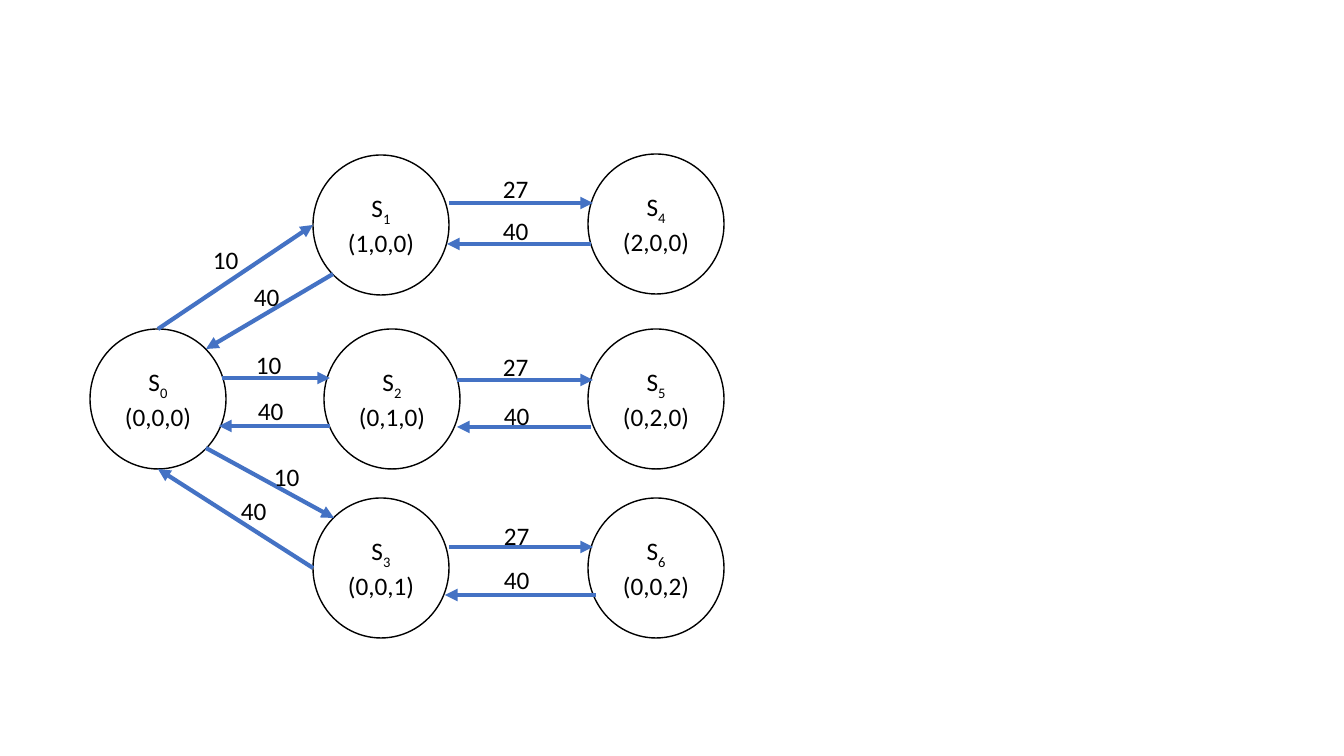
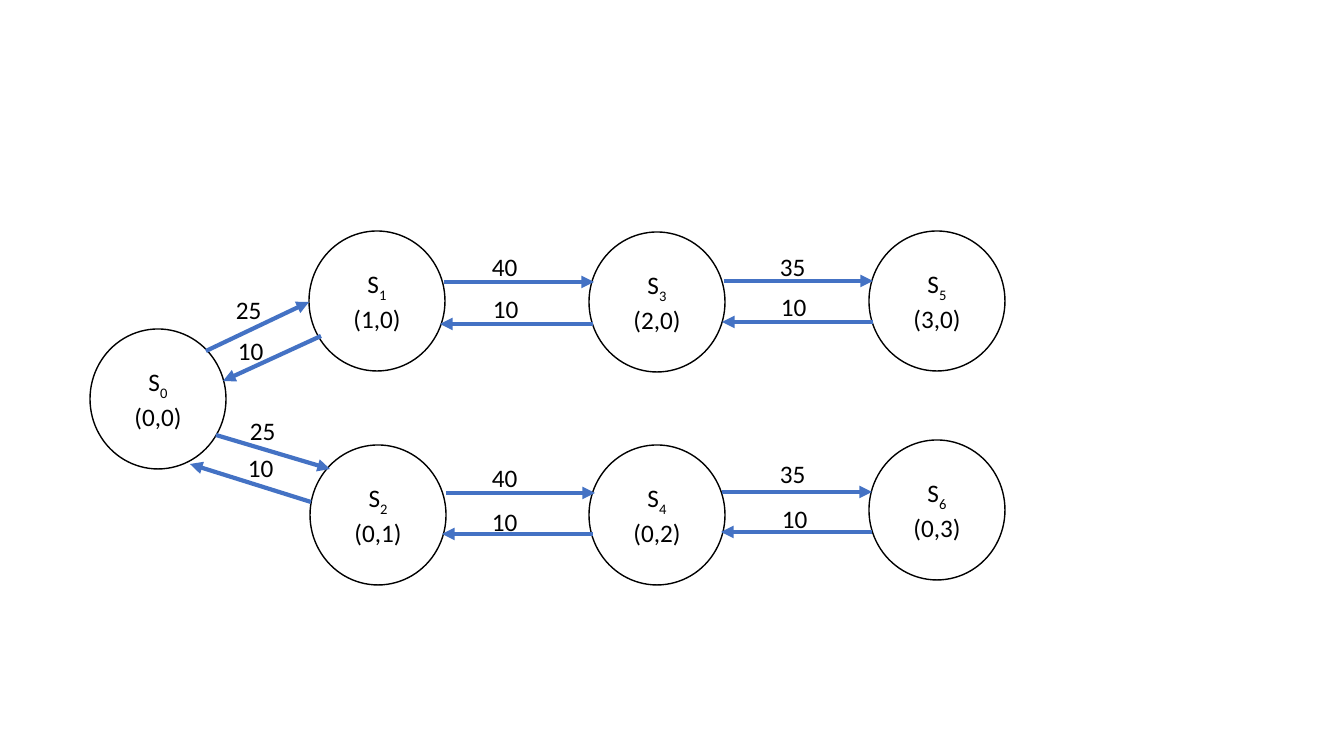
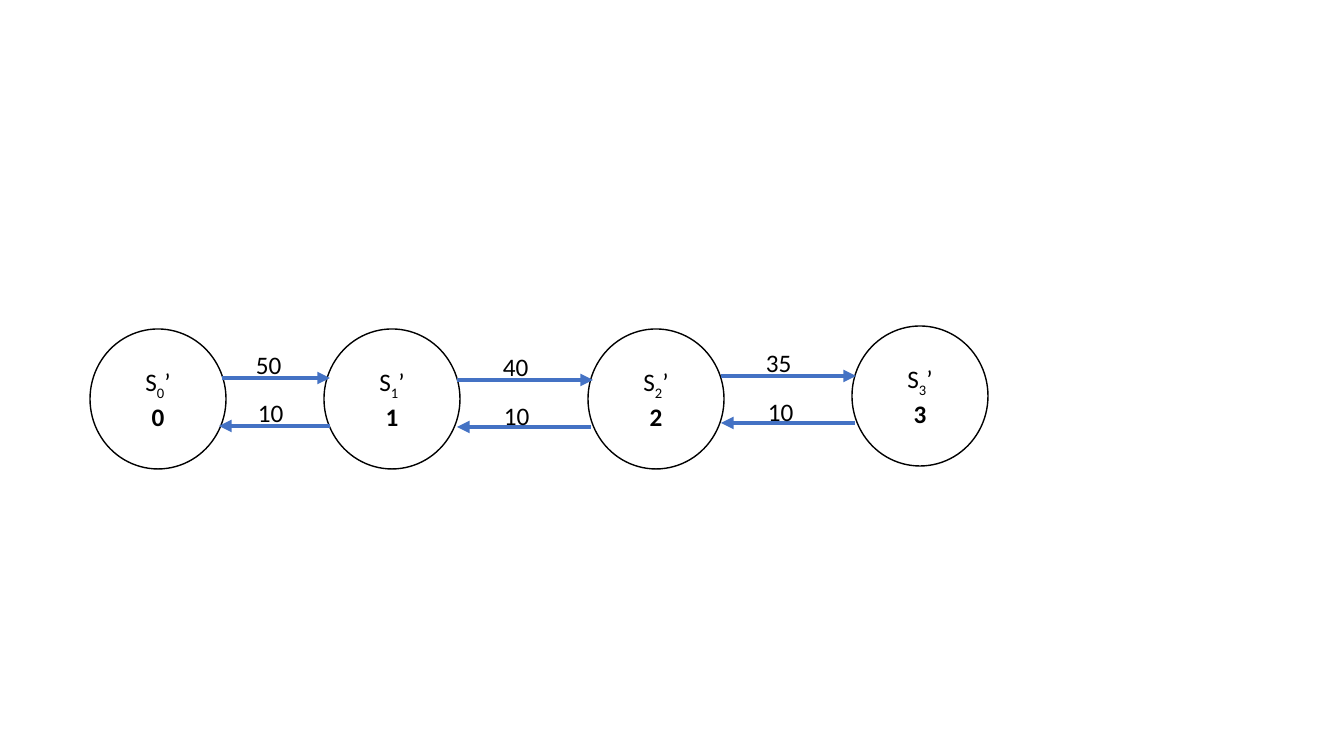
"""Build three state transition diagrams with rates on the arrows."""
from lxml import etree
from pptx import Presentation
from pptx.dml.color import RGBColor
from pptx.enum.shapes import MSO_CONNECTOR, MSO_SHAPE
from pptx.enum.text import MSO_ANCHOR, MSO_AUTO_SIZE, PP_ALIGN
from pptx.oxml.ns import qn
from pptx.util import Emu, Pt

BLACK = RGBColor(0x00, 0x00, 0x00)
WHITE = RGBColor(0xFF, 0xFF, 0xFF)
BLUE = RGBColor(0x44, 0x72, 0xC4)
STRAIGHT = MSO_CONNECTOR.STRAIGHT
ELLIPSE = MSO_SHAPE.OVAL
MIDDLE = MSO_ANCHOR.MIDDLE
GROW = MSO_AUTO_SIZE.SHAPE_TO_FIT_TEXT
CENTER = PP_ALIGN.CENTER

PIXEL = 914400 / 100.8
SLIDE_SIZE = (1344, 756)
STATE_SIZE = (136, 140)
RATE_SIZE = (197, 40)
TEXT_FORMAT = {"name": "Calibri", "size": Pt(18)}
SUBSCRIPT = "-25000"

# States: index, value, (left, top). Arrows: rate, start, end, (label left, top).
DIAGRAMS = [
    {
        "prime": "",
        "bold": False,
        "states": [
            ("0", "(0,0,0)", (90, 329)),
            ("1", "(1,0,0)", (313, 155)),
            ("2", "(0,1,0)", (324, 329)),
            ("3", "(0,0,1)", (313, 498)),
            ("4", "(2,0,0)", (588, 154)),
            ("5", "(0,2,0)", (588, 329)),
            ("6", "(0,0,2)", (588, 498)),
        ],
        "arrows": [
            ("10", (158, 329), (313, 225), (203, 239)),
            ("40", (333, 274), (206, 349), (244, 276)),
            ("27", (449, 203), (593, 203), (493, 168)),
            ("40", (591, 244), (447, 244), (493, 210)),
            ("10", (222, 378), (330, 378), (246, 344)),
            ("40", (330, 426), (219, 426), (248, 390)),
            ("27", (457, 380), (593, 380), (493, 346)),
            ("40", (591, 427), (457, 427), (494, 395)),
            ("10", (206, 448), (334, 518), (264, 456)),
            ("40", (313, 568), (158, 469), (231, 490)),
            ("27", (449, 547), (593, 547), (494, 515)),
            ("40", (596, 595), (445, 595), (494, 559)),
        ],
    },
    {
        "prime": "",
        "bold": False,
        "states": [
            ("0", "(0,0)", (90, 329)),
            ("1", "(1,0)", (309, 231)),
            ("2", "(0,1)", (310, 445)),
            ("3", "(2,0)", (589, 232)),
            ("4", "(0,2)", (589, 445)),
            ("5", "(3,0)", (869, 231)),
            ("6", "(0,3)", (869, 440)),
        ],
        "arrows": [
            ("25", (206, 351), (309, 302), (226, 289)),
            ("10", (321, 336), (223, 381), (228, 330)),
            ("40", (444, 282), (594, 282), (482, 246)),
            ("10", (593, 324), (440, 324), (483, 288)),
            ("35", (724, 281), (873, 281), (770, 246)),
            ("10", (873, 322), (722, 322), (771, 286)),
            ("25", (216, 435), (330, 469), (240, 410)),
            ("10", (311, 502), (190, 464), (238, 447)),
            ("40", (446, 493), (595, 493), (482, 457)),
            ("10", (593, 534), (442, 534), (482, 501)),
            ("35", (722, 492), (872, 492), (770, 453)),
            ("10", (872, 532), (721, 532), (772, 498)),
        ],
    },
    {
        "prime": "’",
        "bold": True,
        "states": [
            ("0", "0", (90, 329)),
            ("1", "1", (324, 329)),
            ("2", "2", (588, 329)),
            ("3", "3", (852, 326)),
        ],
        "arrows": [
            ("50", (222, 378), (330, 378), (246, 344)),
            ("10", (330, 426), (219, 426), (248, 392)),
            ("40", (457, 380), (593, 380), (493, 346)),
            ("10", (591, 427), (457, 427), (494, 395)),
            ("35", (721, 376), (856, 376), (756, 342)),
            ("10", (855, 423), (721, 423), (758, 391)),
        ],
    },
]


def to_emu(*pixels):
    return [Emu(round(value * PIXEL)) for value in pixels]


def add_run(paragraph, text, bold=False):
    run = paragraph.add_run()
    run.text = text
    for name, value in TEXT_FORMAT.items():
        setattr(run.font, name, value)
    run.font.bold = bold
    run.font.color.rgb = BLACK
    return run


def add_state(slide, index, value, position, prime, bold):
    shape = slide.shapes.add_shape(ELLIPSE, *to_emu(*position, *STATE_SIZE))
    shape.shadow.inherit = False
    shape.fill.solid()
    shape.fill.fore_color.rgb = WHITE
    shape.line.color.rgb = BLACK
    shape.line.width = Pt(1)
    frame = shape.text_frame
    frame.vertical_anchor = MIDDLE
    name_line, value_line = frame.paragraphs[0], frame.add_paragraph()
    name_line.alignment = value_line.alignment = CENTER
    add_run(name_line, "S")
    subscript = add_run(name_line, index)
    subscript._r.get_or_add_rPr().set("baseline", SUBSCRIPT)
    if prime:
        add_run(name_line, prime)
    add_run(value_line, value, bold)


def add_arrow(slide, start, end):
    connector = slide.shapes.add_connector(STRAIGHT, *to_emu(*start, *end))
    connector.line.color.rgb = BLUE
    connector.line.width = Pt(3)
    etree.SubElement(connector.line._get_or_add_ln(), qn("a:tailEnd"), type="triangle")
    etree.SubElement(connector._element.spPr, qn("a:effectLst"))


def add_rate(slide, rate, position):
    frame = slide.shapes.add_textbox(*to_emu(*position, *RATE_SIZE)).text_frame
    frame.word_wrap = True
    frame.auto_size = GROW
    add_run(frame.paragraphs[0], rate)


presentation = Presentation()
presentation.slide_width, presentation.slide_height = to_emu(*SLIDE_SIZE)
blank_layout = presentation.slide_layouts[6]
for diagram in DIAGRAMS:
    slide = presentation.slides.add_slide(blank_layout)
    for index, value, position in diagram["states"]:
        add_state(slide, index, value, position, diagram["prime"], diagram["bold"])
    for rate, start, end, label_position in diagram["arrows"]:
        add_arrow(slide, start, end)
        add_rate(slide, rate, label_position)
presentation.save("out.pptx")
